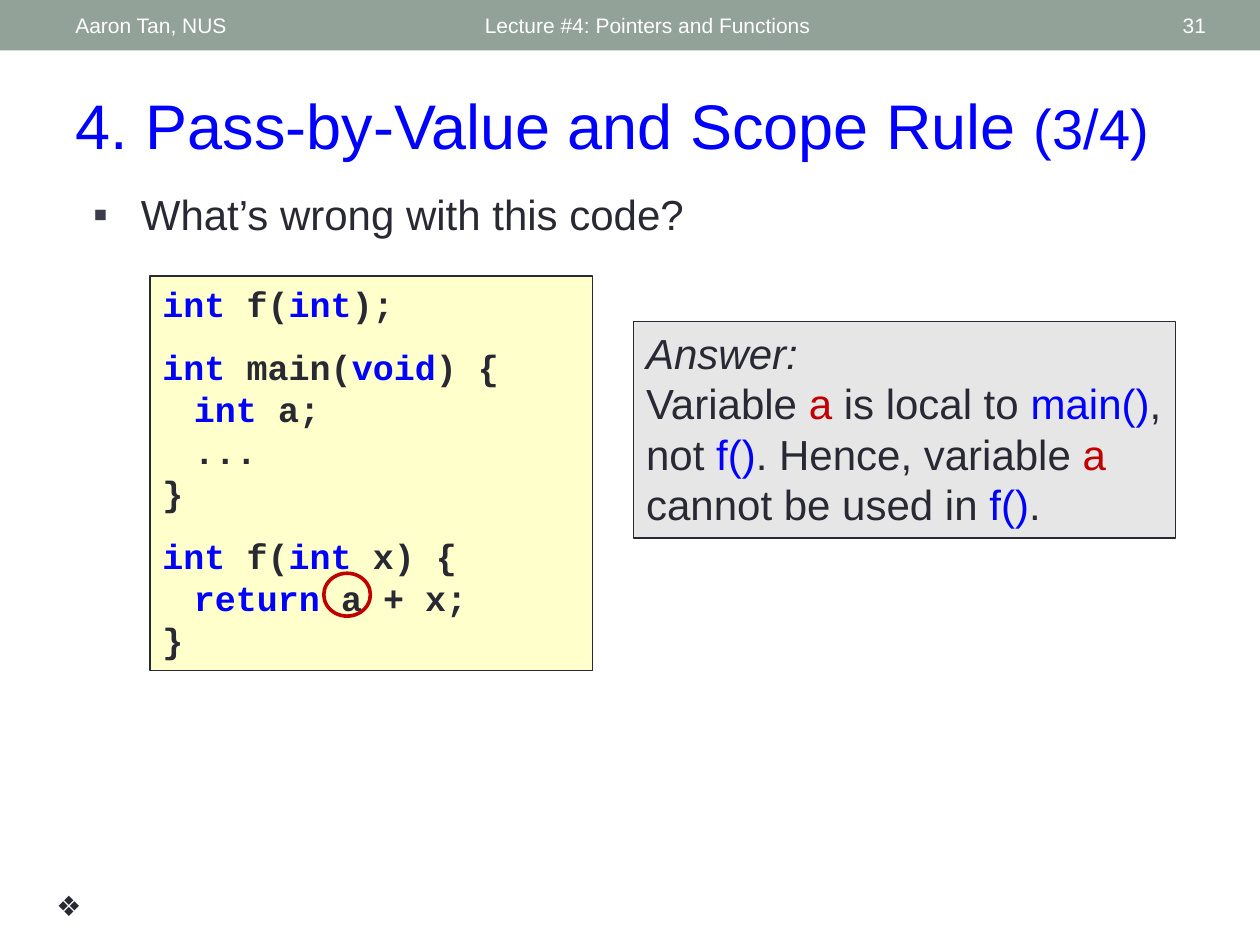
from lxml import etree
from pptx import Presentation
from pptx.dml.color import RGBColor
from pptx.enum.shapes import MSO_SHAPE
from pptx.enum.text import MSO_ANCHOR, MSO_AUTO_SIZE, PP_ALIGN
from pptx.oxml.ns import qn
from pptx.util import Inches, Pt

RECTANGLE, OVAL = MSO_SHAPE.RECTANGLE, MSO_SHAPE.OVAL
TOP, MIDDLE = MSO_ANCHOR.TOP, MSO_ANCHOR.MIDDLE
LEFT, CENTER, RIGHT = PP_ALIGN.LEFT, PP_ALIGN.CENTER, PP_ALIGN.RIGHT
NO_AUTOFIT = MSO_AUTO_SIZE.NONE

INK = RGBColor(0x29, 0x29, 0x34)
BLUE = RGBColor(0x00, 0x00, 0xFF)
RED = RGBColor(0xC0, 0x00, 0x00)
WHITE = RGBColor(0xFF, 0xFF, 0xFF)
SAGE = RGBColor(0x93, 0xA2, 0x99)
YELLOW = RGBColor(0xFF, 0xFF, 0xCC)
GRAY = RGBColor(0xE6, 0xE6, 0xE6)
BULLET = RGBColor(0x3B, 0x3B, 0x4B)

BODY_FONT, CODE_FONT = "Arial", "Courier New"
CODE_TABS = (0.25, 0.51, 0.75)
CODE_GAP = 12

# Each code line is a list of (text, colour); blocks are set apart by a gap
CODE_BLOCKS = [
    [[("int ", BLUE), ("f(", INK), ("int", BLUE), (");", INK)]],
    [
        [("int", BLUE), (" main(", INK), ("void", BLUE), (") {", INK)],
        [("\t", INK), ("int", BLUE), (" a;", INK)],
        [("\t...", INK)],
        [("}", INK)],
    ],
    [
        [("int", BLUE), (" f(", INK), ("int", BLUE), (" x) {", INK)],
        [("\t", INK), ("return", BLUE), (" a + x;", INK)],
        [("}", INK)],
    ],
]
ANSWER = [
    ("Variable ", INK), ("a", RED), (" is local to ", INK), ("main()", BLUE),
    (", not ", INK), ("f()", BLUE), (". Hence, variable ", INK), ("a", RED),
    (" cannot be used in ", INK), ("f()", BLUE), (".", INK),
]


class LectureSlide:
    def __init__(self, slide):
        self.slide = slide

    def add_runs(self, paragraph, runs, size, font=BODY_FONT, bold=False, italic=False):
        for text, color in runs:
            run = paragraph.add_run()
            run.text = text
            run.font.name = font
            run.font.size = Pt(size)
            run.font.bold = bold
            run.font.italic = italic
            run.font.color.rgb = color

    def title(self, text, part, left, top, width, height):
        shape = self.slide.shapes.title
        shape.left, shape.top = Inches(left), Inches(top)
        shape.width, shape.height = Inches(width), Inches(height)
        frame = shape.text_frame
        frame.auto_size = NO_AUTOFIT
        frame.vertical_anchor = TOP
        paragraph = frame.paragraphs[0]
        paragraph.alignment = LEFT
        self.add_runs(paragraph, [(text, BLUE)], 36)
        self.add_runs(paragraph, [(part, BLUE)], 32)

    def label(self, text, left, top, width, height, size, color=INK,
              align=LEFT, anchor=TOP):
        box = self.slide.shapes.add_textbox(
            Inches(left), Inches(top), Inches(width), Inches(height))
        frame = box.text_frame
        frame.word_wrap = True
        frame.vertical_anchor = anchor
        paragraph = frame.paragraphs[0]
        paragraph.alignment = align
        self.add_runs(paragraph, [(text, color)], size)
        return paragraph

    def bullet(self, text, left, top, width, height):
        paragraph = self.label(text, left, top, width, height, 24)
        properties = paragraph._p.get_or_add_pPr()
        properties.set("marL", str(Inches(0.38)))
        properties.set("indent", str(-Inches(0.38)))
        color = etree.SubElement(properties, qn("a:buClr"))
        etree.SubElement(color, qn("a:srgbClr"), val=str(BULLET))
        etree.SubElement(properties, qn("a:buFont"), typeface=BODY_FONT)
        etree.SubElement(properties, qn("a:buChar"), char="▪")

    def shape(self, kind, left, top, width, height, fill=None, line=None, weight=0.75):
        shape = self.slide.shapes.add_shape(
            kind, Inches(left), Inches(top), Inches(width), Inches(height))
        shape.shadow.inherit = False
        if fill is None:
            shape.fill.background()
        else:
            shape.fill.solid()
            shape.fill.fore_color.rgb = fill
        if line is None:
            shape.line.fill.background()
        else:
            shape.line.color.rgb = line
            shape.line.width = Pt(weight)
        return shape

    def panel(self, left, top, width, height, fill):
        frame = self.shape(RECTANGLE, left, top, width, height, fill, INK).text_frame
        frame.word_wrap = True
        frame.vertical_anchor = TOP
        frame.paragraphs[0].alignment = LEFT
        return frame

    def code(self, blocks, left, top, width, height):
        frame = self.panel(left, top, width, height, YELLOW)
        paragraph = None
        for block in blocks:
            for index, runs in enumerate(block):
                first = paragraph is None
                paragraph = frame.paragraphs[0] if first else frame.add_paragraph()
                paragraph.alignment = LEFT
                if index == 0 and not first:
                    paragraph.space_before = Pt(CODE_GAP)
                tabs = etree.SubElement(paragraph._p.get_or_add_pPr(), qn("a:tabLst"))
                for stop in CODE_TABS:
                    etree.SubElement(tabs, qn("a:tab"), pos=str(Inches(stop)), algn="l")
                self.add_runs(paragraph, runs, 20, CODE_FONT, bold=True)

    def answer(self, heading, runs, left, top, width, height):
        frame = self.panel(left, top, width, height, GRAY)
        self.add_runs(frame.paragraphs[0], [(heading, INK)], 24, italic=True)
        paragraph = frame.add_paragraph()
        paragraph.alignment = LEFT
        self.add_runs(paragraph, runs, 24)


def main():
    presentation = Presentation()
    presentation.slide_width, presentation.slide_height = Inches(10), Inches(7.5)
    page = LectureSlide(presentation.slides.add_slide(presentation.slide_layouts[5]))

    # Header bar
    page.shape(RECTANGLE, 0, 0, 10, 0.4, SAGE)
    for text, left, width, align in (
        ("Lecture #4: Pointers and Functions", 3.75, 4.5, LEFT),
        ("Aaron Tan, NUS", 0.5, 3.17, LEFT),
        ("31", 8.72, 0.95, RIGHT),
    ):
        page.label(text, left, 0.02, width, 0.36, 12, WHITE, align, MIDDLE)

    # Title and question
    page.title("4. Pass-by-Value and Scope Rule ", "(3/4)", 0.5, 0.64, 9.17, 0.71)
    page.bullet("What’s wrong with this code?", 0.64, 1.45, 9, 0.63)

    # Code, answer and the ring around the faulty variable
    page.code(CODE_BLOCKS, 1.19, 2.19, 3.51, 3.13)
    page.answer("Answer:", ANSWER, 5.03, 2.55, 4.3, 1.72)
    page.shape(OVAL, 2.57, 4.55, 0.37, 0.34, line=RED, weight=2.08)

    # Corner mark
    page.label("❖", 0.35, 7, 0.34, 0.37, 16, align=CENTER)

    presentation.save("out.pptx")


if __name__ == "__main__":
    main()
